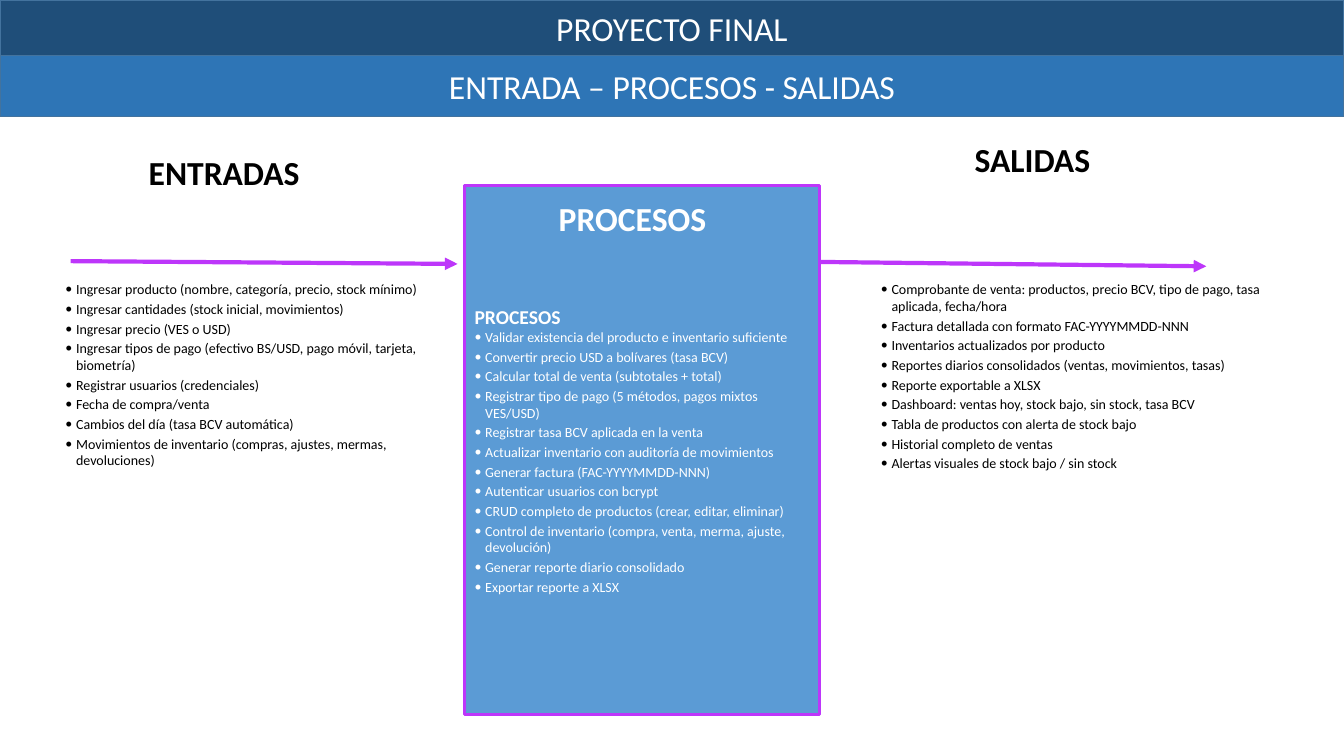
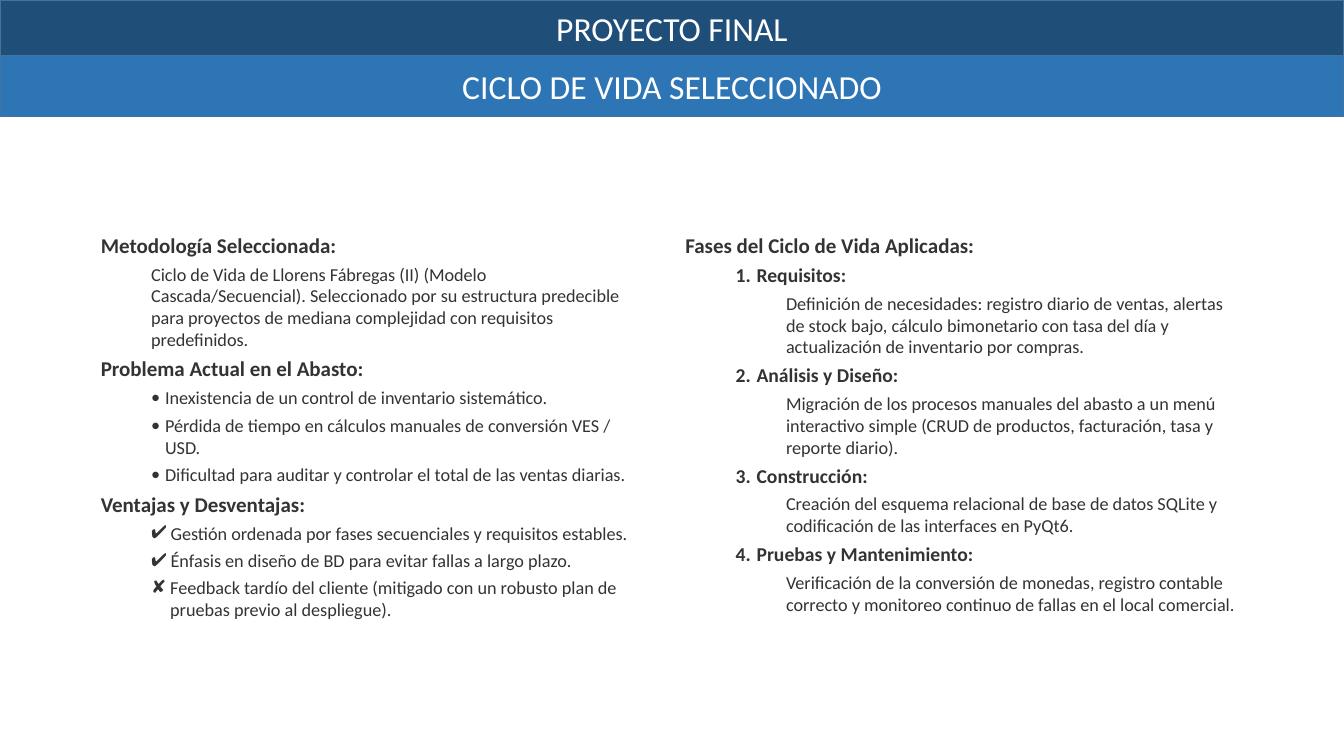
from lxml import etree
from pptx import Presentation
from pptx.dml.color import RGBColor
from pptx.enum import shapes, text
from pptx.oxml.ns import qn
from pptx.util import Cm, Pt

NAVY = RGBColor(0x1F, 0x4E, 0x79)
BLUE = RGBColor(0x2E, 0x75, 0xB6)
SKY = RGBColor(0x5B, 0x9B, 0xD5)
EDGE = RGBColor(0x43, 0x73, 0x9E)
VIOLET = RGBColor(0xBD, 0x36, 0xFA)
WHITE = RGBColor(0xFF, 0xFF, 0xFF)
BLACK = RGBColor(0, 0, 0)
GREY = RGBColor(0x33, 0x33, 0x33)
FONT = "Calibri"
CENTER = text.PP_ALIGN.CENTER

SLIDE_W, SLIDE_H = 33.87, 19.05
BAND_H, TITLE_H = 1.4, 1.54
LEVEL_INDENT = 1.27
HANGS = {"•": 0.35, "✔": 0.49, "✘": 0.48, "#": 0.49}  # cm, for text of HANG_SIZE
HANG_SIZE = 13

PROJECT = "PROYECTO FINAL"
FLOW_TITLE = "ENTRADA – PROCESOS - SALIDAS"
CYCLE_TITLE = "CICLO DE VIDA SELECCIONADO"

INPUTS = [
    "Ingresar producto (nombre, categoría, precio, stock mínimo)",
    "Ingresar cantidades (stock inicial, movimientos)",
    "Ingresar precio (VES o USD)",
    "Ingresar tipos de pago (efectivo BS/USD, pago móvil, tarjeta, biometría)",
    "Registrar usuarios (credenciales)",
    "Fecha de compra/venta",
    "Cambios del día (tasa BCV automática)",
    "Movimientos de inventario (compras, ajustes, mermas, devoluciones)",
]
PROCESSES = [
    "Validar existencia del producto e inventario suficiente",
    "Convertir precio USD a bolívares (tasa BCV)",
    "Calcular total de venta (subtotales + total)",
    "Registrar tipo de pago (5 métodos, pagos mixtos VES/USD)",
    "Registrar tasa BCV aplicada en la venta",
    "Actualizar inventario con auditoría de movimientos",
    "Generar factura (FAC-YYYYMMDD-NNN)",
    "Autenticar usuarios con bcrypt",
    "CRUD completo de productos (crear, editar, eliminar)",
    "Control de inventario (compra, venta, merma, ajuste, devolución)",
    "Generar reporte diario consolidado",
    "Exportar reporte a XLSX",
]
OUTPUTS = [
    "Comprobante de venta: productos, precio BCV, tipo de pago, tasa aplicada, fecha/hora",
    "Factura detallada con formato FAC-YYYYMMDD-NNN",
    "Inventarios actualizados por producto",
    "Reportes diarios consolidados (ventas, movimientos, tasas)",
    "Reporte exportable a XLSX",
    "Dashboard: ventas hoy, stock bajo, sin stock, tasa BCV",
    "Tabla de productos con alerta de stock bajo",
    "Historial completo de ventas",
    "Alertas visuales de stock bajo / sin stock",
]

# Heading, then its (marker, text) points
METHODOLOGY = [
    ("Metodología Seleccionada:", [
        ("", "Ciclo de Vida de Llorens Fábregas (II) (Modelo Cascada/Secuencial). "
             "Seleccionado por su estructura predecible para proyectos de mediana "
             "complejidad con requisitos predefinidos."),
    ]),
    ("Problema Actual en el Abasto:", [
        ("•", "Inexistencia de un control de inventario sistemático."),
        ("•", "Pérdida de tiempo en cálculos manuales de conversión VES / USD."),
        ("•", "Dificultad para auditar y controlar el total de las ventas diarias."),
    ]),
    ("Ventajas y Desventajas:", [
        ("✔", "Gestión ordenada por fases secuenciales y requisitos estables."),
        ("✔", "Énfasis en diseño de BD para evitar fallas a largo plazo."),
        ("✘", "Feedback tardío del cliente (mitigado con un robusto plan de pruebas "
              "previo al despliegue)."),
    ]),
]
PHASES_HEADING = "Fases del Ciclo de Vida Aplicadas:"
PHASES = [
    ("Requisitos:",
     "Definición de necesidades: registro diario de ventas, alertas de stock bajo, "
     "cálculo bimonetario con tasa del día y actualización de inventario por compras."),
    ("Análisis y Diseño:",
     "Migración de los procesos manuales del abasto a un menú interactivo simple "
     "(CRUD de productos, facturación, tasa y reporte diario)."),
    ("Construcción:",
     "Creación del esquema relacional de base de datos SQLite y codificación de las "
     "interfaces en PyQt6."),
    ("Pruebas y Mantenimiento:",
     "Verificación de la conversión de monedas, registro contable correcto y "
     "monitoreo continuo de fallas en el local comercial."),
]

STYLES = {
    "band": dict(size=24, align=CENTER),
    "column": dict(size=24, bold=True, align=CENTER),
    "box heading": dict(size=14, bold=True),
    "item": dict(size=10, after=2),
    "heading": dict(size=15, bold=True, after=4),
    "phase": dict(size=14, bold=True, level=1, after=4),
    "point": dict(size=13, level=1, after=4),
    "detail": dict(size=13, level=2, after=4),
}


def indent(paragraph, level, size, marker, number):
    """Indent a paragraph and hang its bullet or number, if it has one."""
    hang = Cm(HANGS[marker] * size / HANG_SIZE) if marker else 0
    props = paragraph._p.get_or_add_pPr()
    props.set("marL", str(Cm(LEVEL_INDENT * level) + hang))
    props.set("indent", str(-hang))
    if marker == "#":
        etree.SubElement(props, qn("a:buAutoNum"), type="arabicPeriod", startAt=str(number))
    elif marker:
        etree.SubElement(props, qn("a:buFont"), typeface=FONT)
        etree.SubElement(props, qn("a:buChar"), char=marker)
    paragraph.level = level


def write(frame, entries, color):
    """Fill a text frame with (style, marker, text) entries."""
    frame.word_wrap = True
    number = 0
    for i, (style, marker, words) in enumerate(entries):
        look = STYLES[style]
        number += marker == "#"
        paragraph = frame.add_paragraph() if i else frame.paragraphs[0]
        indent(paragraph, look.get("level", 0), look["size"], marker, number)
        paragraph.alignment = look.get("align", text.PP_ALIGN.LEFT)
        paragraph.space_after = Pt(look.get("after", 0))
        run = paragraph.add_run()
        run.text = words
        font = dict(name=FONT, size=Pt(look["size"]), bold=look.get("bold", False))
        for key, value in font.items():
            setattr(run.font, key, value)
        run.font.color.rgb = color


def paint(shape, fill, edge, width):
    shape.fill.solid()
    shape.fill.fore_color.rgb = fill
    shape.line.color.rgb = edge
    shape.line.width = Pt(width)
    shape.text_frame.vertical_anchor = text.MSO_ANCHOR.MIDDLE


def add_box(slide, place, fill, edge, width, entries):
    box = slide.shapes.add_shape(shapes.MSO_SHAPE.RECTANGLE, *map(Cm, place))
    box.shadow.inherit = False
    paint(box, fill, edge, width)
    write(box.text_frame, entries, WHITE)


def add_text(slide, place, entries, color, margin=None):
    frame = slide.shapes.add_textbox(*map(Cm, place)).text_frame
    if margin is not None:
        for side in ("left", "top", "right", "bottom"):
            setattr(frame, f"margin_{side}", Cm(margin))
    write(frame, entries, color)


def add_arrow(slide, *ends):
    arrow = slide.shapes.add_connector(shapes.MSO_CONNECTOR.STRAIGHT, *map(Cm, ends))
    arrow.line.color.rgb = VIOLET
    arrow.line.width = Pt(3)
    etree.SubElement(arrow.line._get_or_add_ln(), qn("a:tailEnd"), type="triangle")
    etree.SubElement(arrow._element.spPr, qn("a:effectLst"))


def add_slide(deck, title):
    """Add a slide with the project band and, under it, the title band."""
    slide = deck.slides.add_slide(deck.slide_layouts[5])
    add_box(slide, (0, 0, SLIDE_W, BAND_H), NAVY, EDGE, 1, [("band", "", PROJECT)])
    heading = slide.shapes.title
    place = dict(left=0, top=BAND_H, width=SLIDE_W, height=TITLE_H)
    for key, value in place.items():
        setattr(heading, key, Cm(value))
    paint(heading, BLUE, EDGE, 1)
    write(heading.text_frame, [("band", "", title)], WHITE)
    return slide


def bulleted(items):
    return [("item", "•", item) for item in items]


def build_flow(deck):
    slide = add_slide(deck, FLOW_TITLE)
    add_box(slide, (11.71, 4.67, 8.94, 13.34), SKY, VIOLET, 2.25,
            [("box heading", "", "PROCESOS")] + bulleted(PROCESSES))
    for name, left, top, color in [("ENTRADAS", 2.26, 3.71, BLACK),
                                   ("PROCESOS", 12.55, 4.85, WHITE),
                                   ("SALIDAS", 22.63, 3.38, BLACK)]:
        add_text(slide, (left, top, 6.78, 1.27), [("column", "", name)], color)
    add_arrow(slide, 1.78, 6.58, 11.53, 6.65)
    add_arrow(slide, 20.65, 6.6, 30.4, 6.71)
    add_text(slide, (1.4, 6.95, 9.45, 7.77), bulleted(INPUTS), BLACK)
    add_text(slide, (21.95, 6.95, 10.57, 8.33), bulleted(OUTPUTS), BLACK)


def build_cycle(deck):
    slide = add_slide(deck, CYCLE_TITLE)
    method = []
    for heading, points in METHODOLOGY:
        method.append(("heading", "", heading))
        method += [("point", marker, words) for marker, words in points]
    phases = [("heading", "", PHASES_HEADING)]
    for name, detail in PHASES:
        phases += [("phase", "#", name), ("detail", "", detail)]
    for left, width, entries in [(2.54, 13.6, method), (17.27, 13.97, phases)]:
        add_text(slide, (left, 5.85, width, 11.4), entries, GREY, margin=0)


def main():
    deck = Presentation()
    deck.slide_width, deck.slide_height = Cm(SLIDE_W), Cm(SLIDE_H)
    build_flow(deck)
    build_cycle(deck)
    deck.save("out.pptx")


if __name__ == "__main__":
    main()
